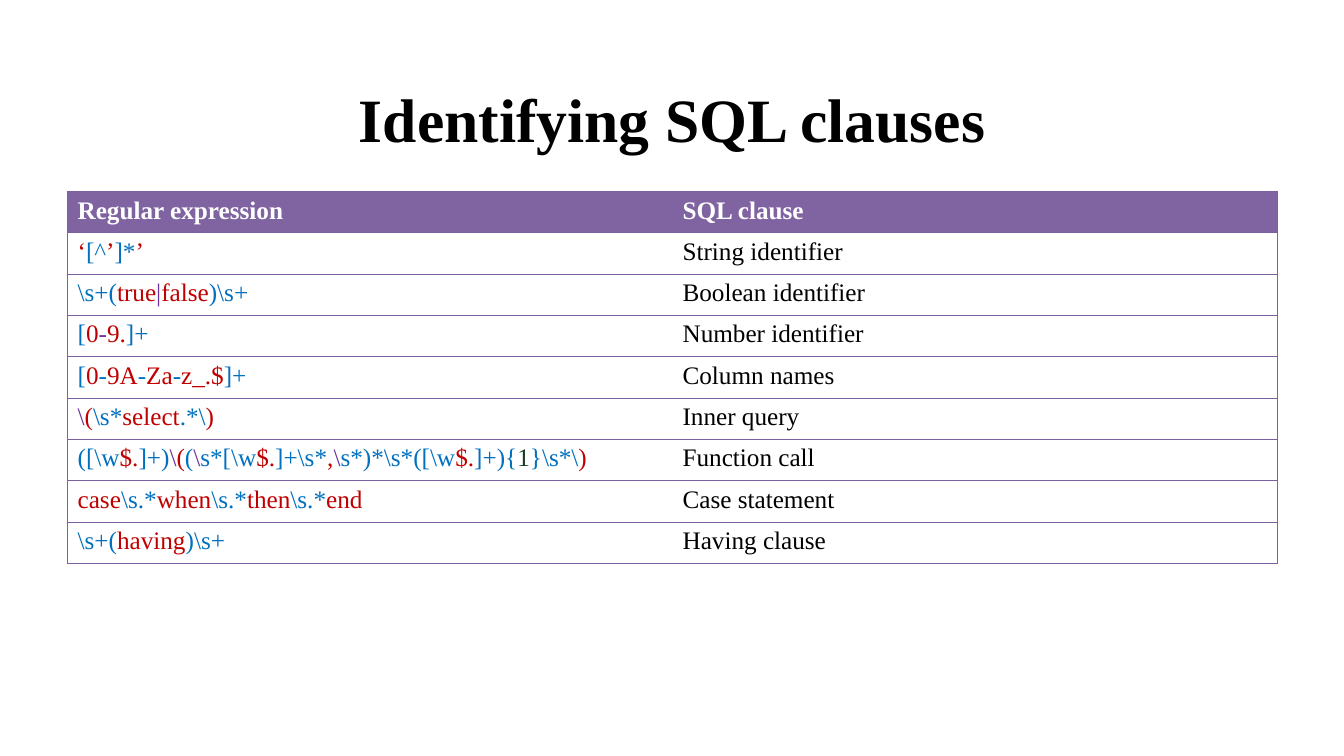
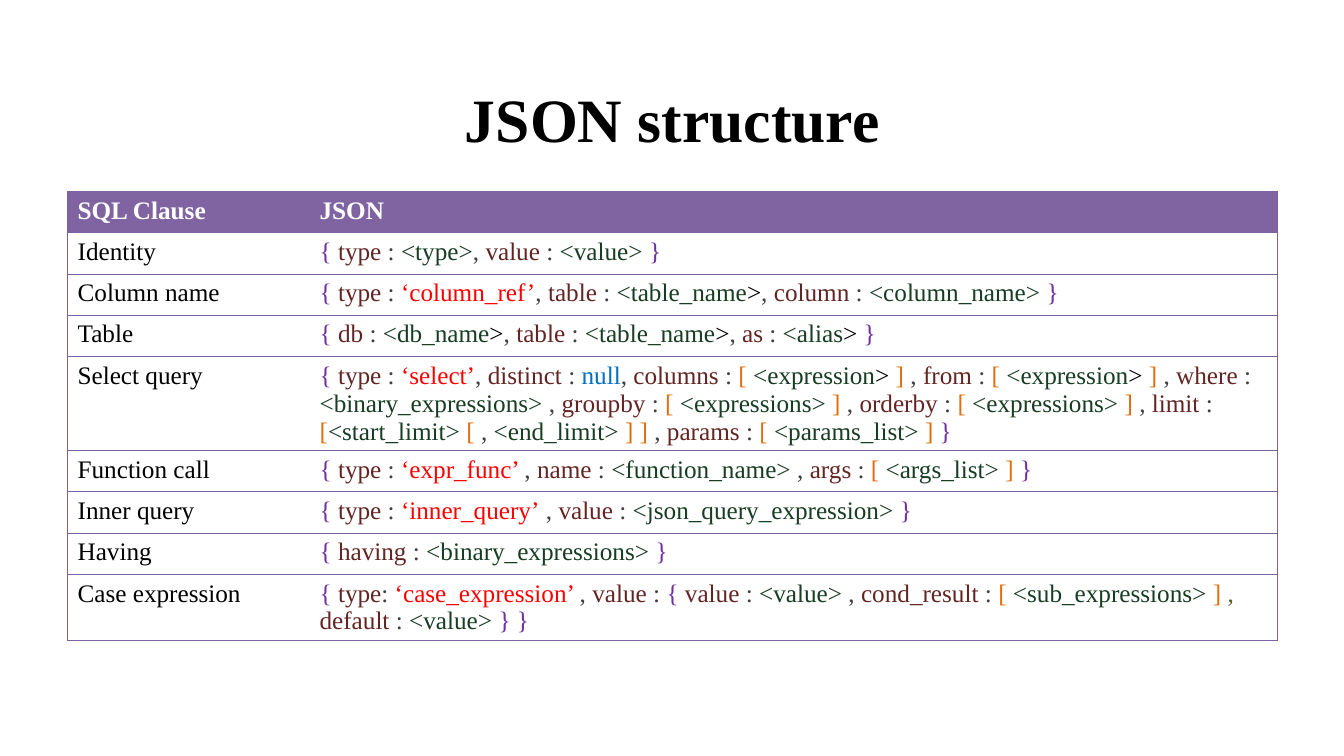
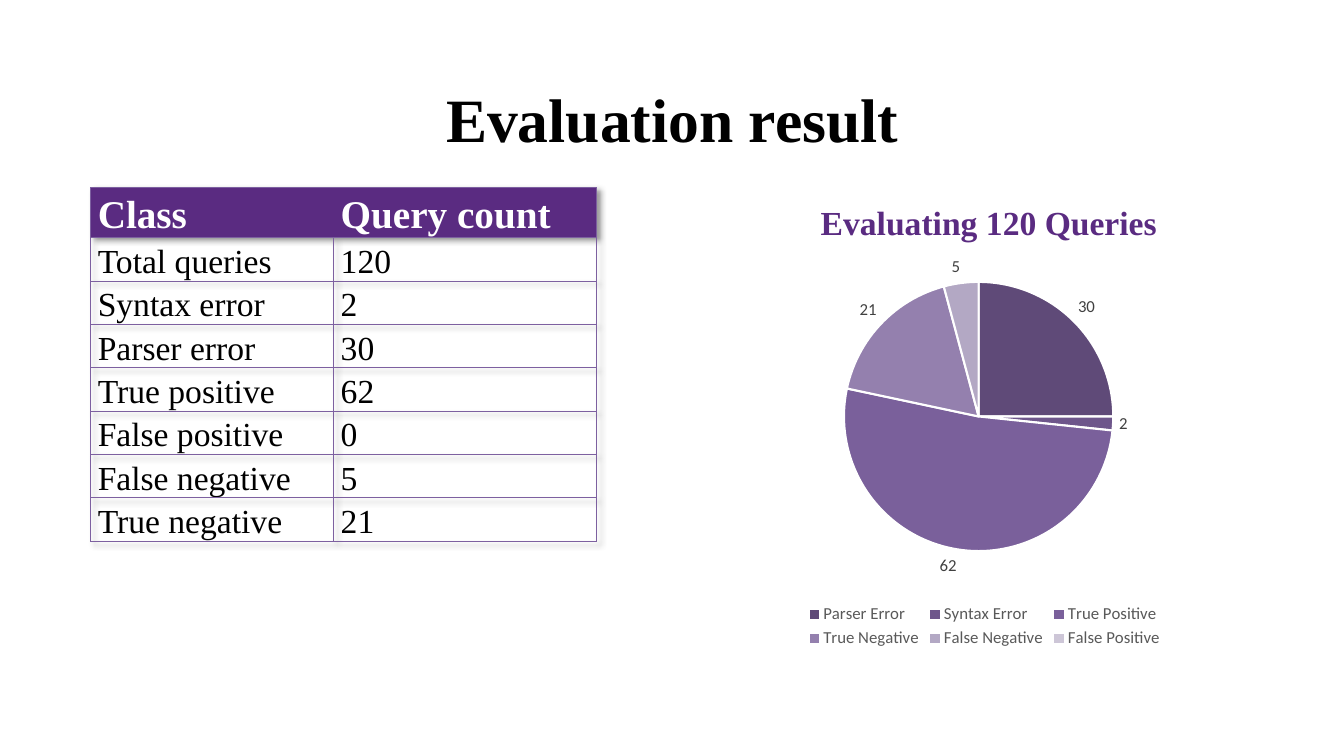
from lxml.etree import SubElement
from pptx import Presentation
from pptx.chart.data import CategoryChartData
from pptx.dml.color import RGBColor
from pptx.enum.chart import XL_CHART_TYPE, XL_LABEL_POSITION, XL_LEGEND_POSITION
from pptx.enum.text import MSO_ANCHOR, PP_ALIGN
from pptx.oxml import parse_xml
from pptx.oxml.ns import nsdecls, qn
from pptx.util import Inches, Pt

# Colours
BLACK = RGBColor(0x00, 0x00, 0x00)
WHITE = RGBColor(0xFF, 0xFF, 0xFF)
BORDER = RGBColor(0x7D, 0x60, 0xA0)
HEADER = RGBColor(0x80, 0x64, 0xA2)
DEEP_PURPLE = RGBColor(0x5A, 0x2B, 0x81)
LABEL_GREY = RGBColor(0x40, 0x40, 0x40)
LEGEND_GREY = RGBColor(0x59, 0x59, 0x59)
SLICES = [RGBColor.from_string(code) for code in (
    "5F4A78", "6E568B", "7A609B", "9480AE", "B3A8C4", "CDC6D7")]

# "¦" and one of these letters start a run in that colour
SYNTAX = {
    "r": RGBColor(0xC0, 0x00, 0x00),  # literal
    "b": RGBColor(0x00, 0x70, 0xC0),  # operator or null
    "p": RGBColor(0x70, 0x30, 0xA0),  # brace or escape
    "g": RGBColor(0x17, 0x3D, 0x22),  # variable
    "k": RGBColor(0x63, 0x25, 0x23),  # key
    "s": LABEL_GREY,                  # separator
    "q": RGBColor(0xFF, 0x00, 0x00),  # quoted value
    "o": RGBColor(0xE4, 0x6C, 0x0A),  # bracket
    "x": BLACK,                       # closing sign
    "e": RGBColor(0x4F, 0x62, 0x28),  # olive comma
}

# Text formats
SERIF = "Times New Roman"
TITLE_FONT = {"name": SERIF, "size": Pt(44), "bold": True}
CODE_HEADER = {"name": SERIF, "size": Pt(18), "bold": True}
CODE_BODY = {"name": SERIF, "size": Pt(18), "bold": False}
RESULT_HEADER = {"name": SERIF, "size": Pt(28), "bold": True}
RESULT_BODY = {"name": SERIF, "size": Pt(24), "bold": False}
CHART_TITLE = {"name": SERIF, "size": Pt(24), "bold": True}
CHART_TEXT = {"name": "Calibri", "size": Pt(12), "bold": False}

PLAIN_TABLE_STYLE = "{2D5ABB26-0587-4C30-8999-92F81FD0307C}"


def format_font(font, values, colour):
    for name, value in values.items():
        setattr(font, name, value)
    font.color.rgb = colour


def add_grid(slide, rows, left, top, widths, heights, fonts, header_fill,
             inner_columns=False, line_spacing=None, margins=None):
    """Add a bordered table; heights and fonts are (header, body) pairs."""
    last = len(widths) - 1
    table = slide.shapes.add_table(
        len(rows), len(widths), Inches(left), Inches(top), Inches(sum(widths)),
        Inches(heights[0] + heights[1] * (len(rows) - 1))).table
    table.horz_banding = False
    table._tbl.tblPr.find(qn("a:tableStyleId")).text = PLAIN_TABLE_STYLE
    for column, width in zip(table.columns, widths):
        column.width = Inches(width)

    for row_index, texts in enumerate(rows):
        part = min(row_index, 1)
        table.rows[row_index].height = Inches(heights[part])
        for column_index, text in enumerate(texts):
            cell = table.cell(row_index, column_index)
            for name, value in (margins or {}).items():
                setattr(cell, name, value)

            # Borders
            sides = ["lnT", "lnB"]
            if column_index == last or (inner_columns and part):
                sides.insert(0, "lnR")
            if column_index == 0 or (inner_columns and part):
                sides.insert(0, "lnL")
            for side in sides:
                line = SubElement(cell._tc.get_or_add_tcPr(), qn("a:" + side), w=str(Pt(0.75)))
                fill = SubElement(line, qn("a:solidFill"))
                SubElement(fill, qn("a:srgbClr"), val=str(BORDER))

            # Fill
            if part:
                cell.fill.background()
            else:
                cell.fill.solid()
                cell.fill.fore_color.rgb = header_fill

            # Coloured runs
            paragraph = cell.text_frame.paragraphs[0]
            paragraph.line_spacing = line_spacing
            plain, *marked = text.split("¦")
            runs = [(BLACK if part else WHITE, plain)] if plain else []
            runs += [(SYNTAX[item[0]], item[1:]) for item in marked]
            for colour, words in runs:
                run = paragraph.add_run()
                run.text = words
                format_font(run.font, fonts[part], colour)
    return table


presentation = Presentation()
presentation.slide_width = Inches(13.33)
presentation.slide_height = Inches(7.5)

# Slides with their titles
slides = []
for title_text in ("Identifying SQL clauses", "JSON structure", "Evaluation result"):
    slide = presentation.slides.add_slide(presentation.slide_layouts[5])
    title = slide.shapes.title
    title.left, title.top = Inches(0.67), Inches(0.54)
    title.width, title.height = Inches(12), Inches(1.25)
    title.text_frame.text = title_text
    title.text_frame.vertical_anchor = MSO_ANCHOR.MIDDLE
    paragraph = title.text_frame.paragraphs[0]
    paragraph.alignment = PP_ALIGN.CENTER
    format_font(paragraph.runs[0].font, TITLE_FONT, BLACK)
    slides.append(slide)
clause_slide, json_slide, result_slide = slides

# Regular expressions and JSON tables
clause_rows = [
    ("Regular expression", "SQL clause"),
    ("¦r‘¦b[^¦r’¦b]*¦r’", "String identifier"),
    (r"¦b\s+(¦rtrue¦p|¦rfalse¦b)\s+", "Boolean identifier"),
    ("¦b[¦r0¦p-¦r9.¦b]+", "Number identifier"),
    ("¦b[¦r0¦b-¦r9A¦b-¦rZa¦b-¦rz_.$¦b]+", "Column names"),
    (r"¦p\¦r(¦b\s*¦rselect¦b.*\¦r)", "Inner query"),
    (r"¦b([\w¦r$.¦b]+)¦p\¦r(¦b(¦p\¦bs*[\w¦r$.¦b]+\s*¦r,¦p\¦bs*)*\s*([\w"
     r"¦r$.¦b]+){¦g1¦b}\s*\¦r)", "Function call"),
    (r"¦rcase¦b\s.*¦rwhen¦b\s.*¦rthen¦b\s.*¦rend", "Case statement"),
    (r"¦b\s+(¦rhaving¦b)\s+", "Having clause"),
]
json_rows = [
    ("SQL Clause", "JSON"),
    ("Identity", "¦p{ ¦ktype ¦s: ¦g<type>¦s, ¦kvalue ¦s: ¦g<value> ¦p}"),
    ("Column name",
     "¦p{ ¦ktype ¦s: ¦q‘column_ref’¦s, ¦ktable ¦s: ¦g<table_name¦x>¦s, "
     "¦kcolumn ¦s: ¦g<column_name> ¦p}"),
    ("Table",
     "¦p{ ¦kdb ¦s: ¦g<db_name¦x>¦s, ¦ktable ¦s: ¦g<table_name¦x>¦s, "
     "¦kas ¦s: ¦g<alias¦x>¦p }"),
    ("Select query",
     "¦p{ ¦ktype ¦s: ¦q‘select’¦s, ¦kdistinct ¦s: ¦bnull¦s, "
     "¦kcolumns ¦s: ¦o[ ¦g<expression¦x> ¦o] ¦s, "
     "¦kfrom ¦s: ¦o[ ¦g<expression¦x> ¦o] ¦s, "
     "¦kwhere ¦s: ¦g<binary_expressions> ¦s, "
     "¦kgroupby ¦s: ¦o[ ¦g<expressions> ¦o]¦s , "
     "¦korderby ¦s: ¦o[ ¦g<expressions> ¦o] ¦s, "
     "¦klimit ¦s: ¦o[¦g<start_limit> ¦o[ ¦s, ¦g<end_limit> ¦o] ] ¦s, "
     "¦kparams ¦s: ¦o[ ¦g<params_list> ¦o] ¦p}"),
    ("Function call",
     "¦p{ ¦ktype ¦s: ¦q‘expr_func’ ¦s, ¦kname ¦s: ¦g<function_name> ¦s, "
     "¦kargs ¦s: ¦o[ ¦g<args_list> ¦o] ¦p}"),
    ("Inner query",
     "¦p{ ¦ktype ¦s: ¦q‘inner_query’¦s , ¦kvalue ¦s: ¦g<json_query_expression> ¦p}"),
    ("Having", "¦p{ ¦khaving¦s : ¦g<binary_expressions> ¦p}"),
    ("Case expression",
     "¦p{ ¦ktype¦s: ¦q‘case_expression’ ¦s, ¦kvalue ¦s: ¦p{ ¦kvalue ¦s: ¦g<value> ¦s, "
     "¦kcond_result ¦s: ¦o[ ¦g<sub_expressions> ¦o] ¦e, "
     "¦kdefault ¦s: ¦g<value> ¦p} }"),
]
for slide, rows, widths in ((clause_slide, clause_rows, (6, 6)),
                            (json_slide, json_rows, (2.4, 9.6))):
    add_grid(slide, rows, 0.67, 1.9, widths, (0.41, 0.41),
             (CODE_HEADER, CODE_BODY), HEADER)

# Pie chart
chart_data = CategoryChartData()
chart_data.categories = ["Parser Error", "Syntax Error", "True Positive",
                         "True Negative", "False Negative", "False Positive"]
chart_data.add_series("Series 1", (30, 2, 62, 21, 5, 0))
chart = result_slide.shapes.add_chart(
    XL_CHART_TYPE.PIE, Inches(6.86), Inches(1.7), Inches(5.81), Inches(4.77),
    chart_data).chart
chart.font.name, chart.font.size = "Calibri", Pt(10)

chart.has_title = True
chart.chart_title.text_frame.text = "Evaluating 120 Queries"
title_run = chart.chart_title.text_frame.paragraphs[0].runs[0]
format_font(title_run.font, CHART_TITLE, DEEP_PURPLE)

chart.has_legend = True
chart.legend.position = XL_LEGEND_POSITION.BOTTOM
chart.legend.include_in_layout = False
format_font(chart.legend.font, CHART_TEXT, LEGEND_GREY)

plot = chart.plots[0]
plot.vary_by_categories = True
plot.has_data_labels = True
labels = plot.data_labels
labels.show_value, labels.show_percentage = True, False
labels.position = XL_LABEL_POSITION.OUTSIDE_END
format_font(labels.font, CHART_TEXT, LABEL_GREY)
for index, colour in enumerate(SLICES):
    slice_format = plot.series[0].points[index].format
    slice_format.fill.solid()
    slice_format.fill.fore_color.rgb = colour
    slice_format.line.color.rgb = WHITE
    slice_format.line.width = Pt(1.5)

# Places of the chart title and the pie, as shares of the chart
plot_area = chart._chartSpace.chart.plotArea
for element, position, target, places in (
        (chart.chart_title._element, 1, "", {"x": 0.21, "y": 0.05}),
        (plot_area, 0, '<c:layoutTarget val="inner"/>',
         {"x": 0.26, "y": 0.23, "w": 0.46, "h": 0.56})):
    for old_layout in element.findall(qn("c:layout")):
        element.remove(old_layout)
    modes = "".join(f'<c:{name}Mode val="edge"/>' for name in "xy")
    values = "".join(f'<c:{name} val="{value}"/>' for name, value in places.items())
    element.insert(position, parse_xml(
        f'<c:layout {nsdecls("c")}><c:manualLayout>{target}{modes}{values}'
        '</c:manualLayout></c:layout>'))

# Result table with a soft shadow
result_rows = [
    ("Class", "Query count"),
    ("Total queries", "120"),
    ("Syntax error", "2"),
    ("Parser error", "30"),
    ("True positive", "62"),
    ("False positive", "0"),
    ("False negative", "5"),
    ("True negative", "21"),
]
result_table = add_grid(
    result_slide, result_rows, 0.9, 1.86, (2.41, 2.61), (0.5, 0.43),
    (RESULT_HEADER, RESULT_BODY), DEEP_PURPLE, inner_columns=True, line_spacing=1.15,
    margins={"margin_left": Inches(0.07), "margin_right": Inches(0.07),
             "margin_top": 0, "margin_bottom": 0})
result_table._tbl.tblPr.insert(0, parse_xml(
    f'<a:effectLst {nsdecls("a")}><a:outerShdw blurRad="50800" dist="38100" dir="2700000">'
    '<a:srgbClr val="000000"><a:alpha val="40000"/></a:srgbClr>'
    '</a:outerShdw></a:effectLst>'))

presentation.save("out.pptx")
